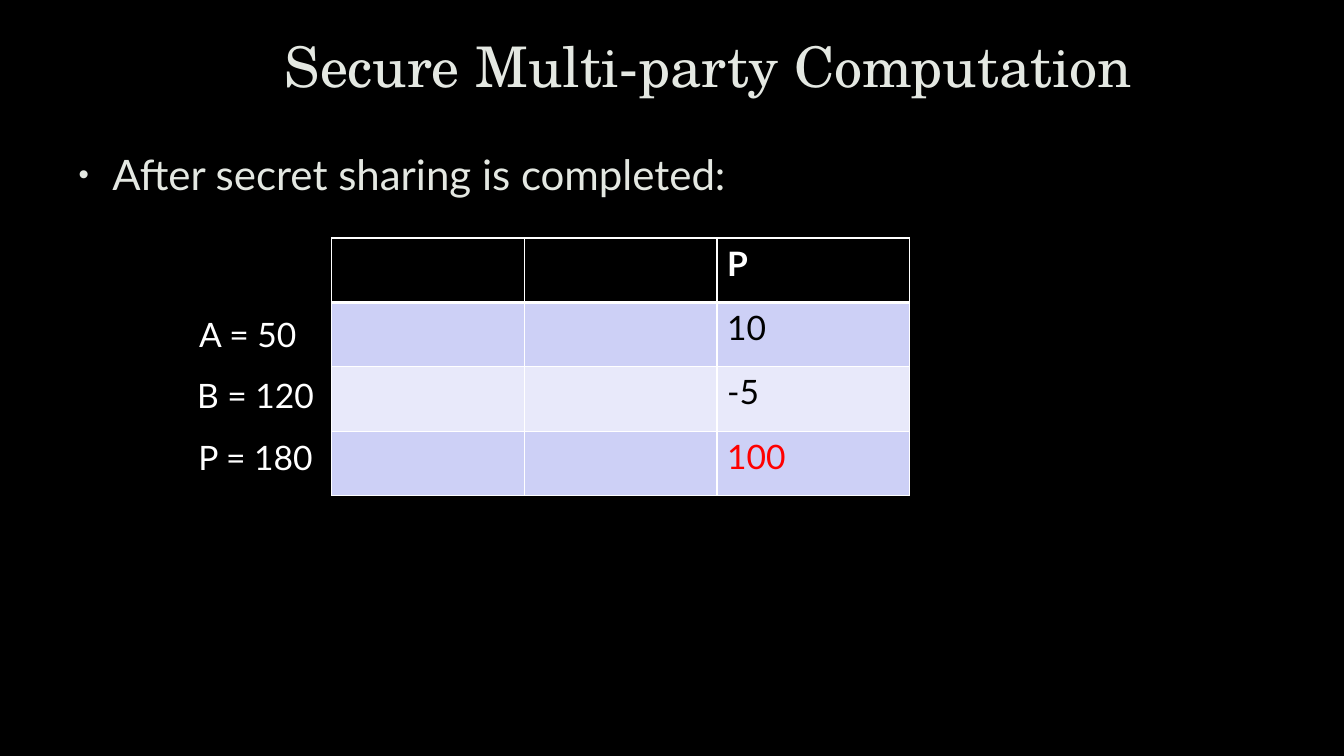
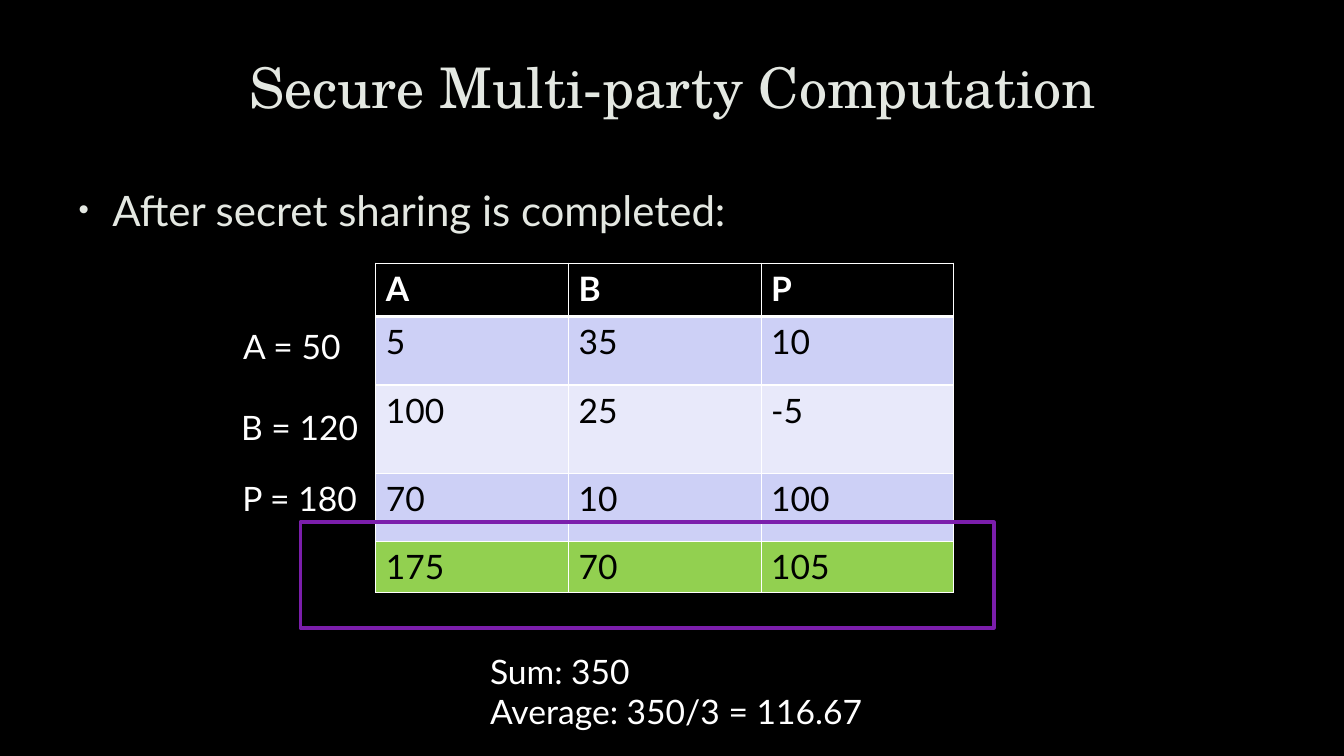
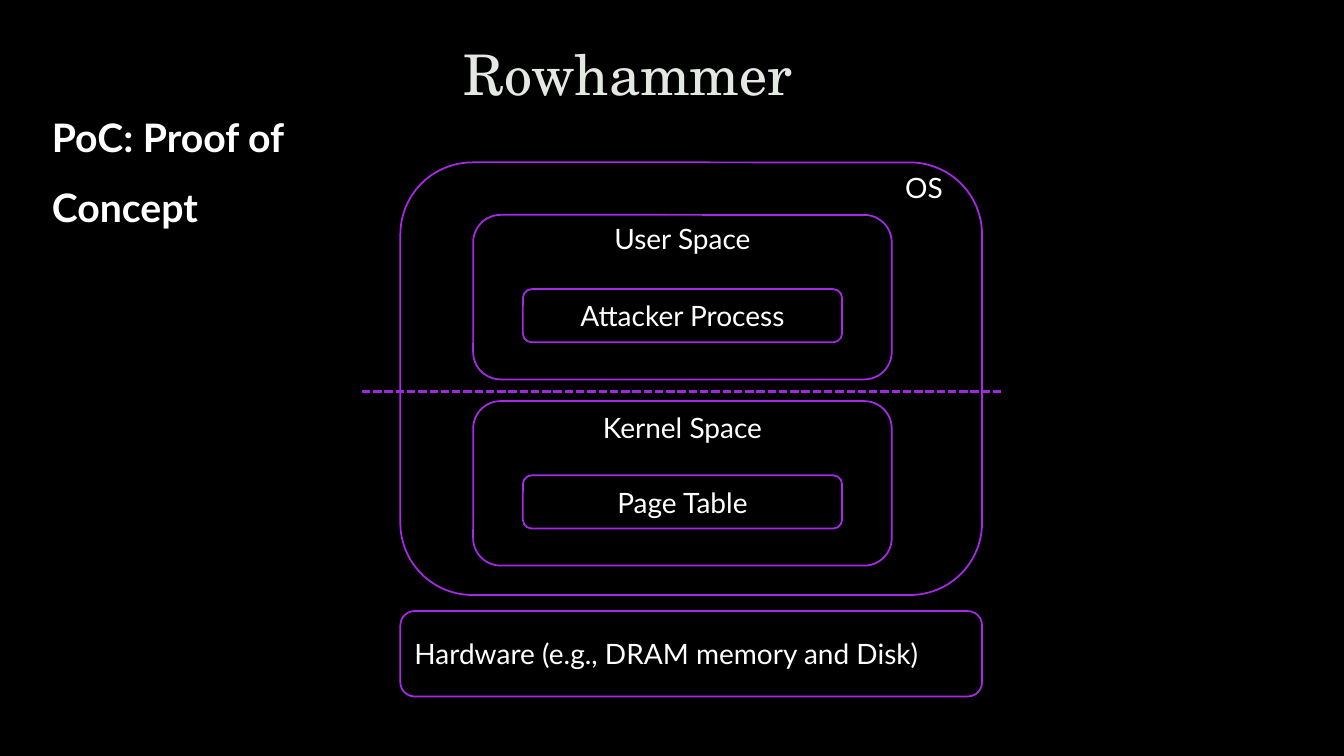
from dataclasses import dataclass

from lxml import etree
from pptx import Presentation
from pptx.dml.color import RGBColor
from pptx.enum.dml import MSO_LINE
from pptx.enum.shapes import MSO_CONNECTOR, MSO_SHAPE
from pptx.enum.text import MSO_ANCHOR, MSO_AUTO_SIZE, PP_ALIGN
from pptx.oxml.ns import qn
from pptx.util import Pt

LEFT, CENTER = PP_ALIGN.LEFT, PP_ALIGN.CENTER
TOP, MIDDLE = MSO_ANCHOR.TOP, MSO_ANCHOR.MIDDLE
NO_FIT = MSO_AUTO_SIZE.NONE
RECT, ROUND_RECT = MSO_SHAPE.RECTANGLE, MSO_SHAPE.ROUNDED_RECTANGLE
STRAIGHT = MSO_CONNECTOR.STRAIGHT
DASH = MSO_LINE.SQUARE_DOT
TITLE_AND_CONTENT, TITLE_ONLY = 1, 5


@dataclass(frozen=True)
class Theme:
    # Colours
    black: str = "000000"
    white: str = "FFFFFF"
    heading: str = "E4E8E2"
    band_dark: str = "CDD0F6"
    band_light: str = "E8E9FA"
    total: str = "92D050"
    alert: str = "FF0000"
    frame: str = "7B1EAB"
    outline: str = "A629E7"
    divider: str = "9F27DD"
    # Fonts and sizes
    title_font: str = "TeX Gyre Schola"
    font: str = "Lato"
    title_size: int = 40
    bullet_size: int = 30
    note_size: int = 28
    table_size: int = 24
    diagram_size: int = 20


T = Theme()


def rgb(value):
    return RGBColor.from_string(value)


def place(shape, box):
    shape.left, shape.top, shape.width, shape.height = map(Pt, box)


# Text
def write(tf, lines, size, color=T.white, font=T.font, bold=False,
          align=LEFT, anchor=MIDDLE, spacing=None):
    tf.word_wrap = True
    tf.vertical_anchor = anchor
    for i, line in enumerate(lines):
        p = tf.add_paragraph() if i else tf.paragraphs[0]
        p.alignment = align
        p.line_spacing = spacing
        r = p.add_run()
        r.text = line
        r.font.name, r.font.size, r.font.bold = font, Pt(size), bold
        r.font.color.rgb = rgb(color)


def add_text(s, box, lines, size, **style):
    tf = s.shapes.add_textbox(*map(Pt, box)).text_frame
    write(tf, lines, size, **style)


def set_title(s, text, box, align=CENTER):
    title = s.shapes.title
    place(title, box)
    title.text_frame.auto_size = NO_FIT
    write(title.text_frame, [text], T.title_size, T.heading, T.title_font,
          align=align, spacing=0.9)


def set_bullet(s, text, box):
    body = s.placeholders[1]
    place(body, box)
    tf = body.text_frame
    tf.auto_size = NO_FIT
    write(tf, [text], T.bullet_size, T.heading, anchor=TOP, spacing=1.1)
    p = tf.paragraphs[0]
    p.space_before, p.space_after = Pt(0), Pt(6)
    pPr = p._p.get_or_add_pPr()
    pPr.set("marL", str(Pt(27)))
    pPr.set("indent", str(-Pt(24)))
    color = etree.SubElement(pPr, qn("a:buClr"))
    etree.SubElement(color, qn("a:srgbClr"), val=T.heading)
    etree.SubElement(pPr, qn("a:buSzPct"), val="70000")
    etree.SubElement(pPr, qn("a:buFont"), typeface="Arial")
    etree.SubElement(pPr, qn("a:buChar"), char="•")


# Shapes
def add_outline(s, kind, box, color, width, text=None, align=CENTER):
    shape = s.shapes.add_shape(kind, *map(Pt, box))
    shape.shadow.inherit = False
    shape.fill.background()
    shape.line.color.rgb = rgb(color)
    shape.line.width = Pt(width)
    if text:
        write(shape.text_frame, [text], T.diagram_size, align=align)


def add_panel(s, box, text=None, align=CENTER):
    add_outline(s, ROUND_RECT, box, T.outline, 1.25, text, align)


def add_divider(s, x1, x2, y):
    line = s.shapes.add_connector(STRAIGHT, Pt(x1), Pt(y), Pt(x2), Pt(y))
    line.line.color.rgb = rgb(T.divider)
    line.line.width = Pt(2)
    line.line.dash_style = DASH
    etree.SubElement(line._element.spPr, qn("a:effectLst"))


# Table of shares
def set_borders(cell, row):
    tcPr = cell._tc.get_or_add_tcPr()
    widths = {"lnL": 1, "lnR": 1, "lnT": 3 if row == 1 else 1,
              "lnB": 3 if row == 0 else 1}
    for side, width in widths.items():
        ln = etree.SubElement(tcPr, qn(f"a:{side}"), w=str(Pt(width)))
        fill = etree.SubElement(ln, qn("a:solidFill"))
        etree.SubElement(fill, qn("a:srgbClr"), val=T.white)


def add_share_table(s, left, top, rows, heights, fills, alerts=()):
    col_width = 137.6
    n_cols = len(rows[0])
    table = s.shapes.add_table(len(rows), n_cols, Pt(left), Pt(top),
                               Pt(col_width * n_cols), Pt(sum(heights))).table
    for col in table.columns:
        col.width = Pt(col_width)
    for i, values in enumerate(rows):
        table.rows[i].height = Pt(heights[i])
        for j, value in enumerate(values):
            cell = table.cell(i, j)
            set_borders(cell, i)
            cell.fill.solid()
            cell.fill.fore_color.rgb = rgb(fills[i])
            if not value:
                continue
            color = T.white if i == 0 else T.black
            if (i, j) in alerts:
                color = T.alert
            write(cell.text_frame, [value], T.table_size, color,
                  bold=i == 0, anchor=TOP)


def add_secret_labels(s, left, top, centers):
    """Secrets beside the table; left and top are the table's corner."""
    width, height = 172, 32
    secrets = ("A = 50", "B = 120", "P = 180")
    for text, dx, y in zip(secrets, (-60, -54.5, -54.5), centers):
        box = (left + dx - width / 2, top + y - height / 2, width, height)
        add_text(s, box, [text], T.table_size, align=CENTER)


# Slides
def add_sharing_slide(prs, title_at, bullet_top, table_at, label_centers,
                      **table):
    s = prs.slides.add_slide(prs.slide_layouts[TITLE_AND_CONTENT])
    set_title(s, "Secure Multi-party Computation", (*title_at, 815, 99))
    set_bullet(s, "After secret sharing is completed:",
               (46, bullet_top, 794, 77))
    add_secret_labels(s, *table_at, label_centers)
    add_share_table(s, *table_at, **table)
    return s


def add_zone(s, box, name, part, name_dy):
    x, y, w, h = box
    part_w, part_h = 228, 38
    add_panel(s, box)
    add_text(s, (x, y + name_dy, w, part_h), [name], T.diagram_size,
             align=CENTER)
    add_panel(s, (x + (w - part_w) / 2, y + 53, part_w, part_h), part)


def add_system_diagram(s, box):
    x, y, w, h = box
    os_h, hardware_h = 309, 61
    # Operating system with its two zones
    add_panel(s, (x, y, w, os_h))
    add_text(s, (x + w - 88.5, y - 1, 94, 38), ["OS"], T.diagram_size,
             align=CENTER)
    zones = (("User Space", "Attacker Process", -2),
             ("Kernel Space", "Page Table", 0))
    for i, (name, part, name_dy) in enumerate(zones):
        zone = (x + 52, y + 37.5 + 133 * i, 299, 117.5)
        add_zone(s, zone, name, part, name_dy)
    add_divider(s, x - 27.5, x + w + 13.5, y + 163.5)
    # Hardware below
    add_panel(s, (x, y + h - hardware_h, w, hardware_h),
              "Hardware (e.g., DRAM memory and Disk)", LEFT)


def add_rowhammer_slide(prs):
    s = prs.slides.add_slide(prs.slide_layouts[TITLE_ONLY])
    set_title(s, "Rowhammer", (324, 19, 377, 72), LEFT)
    add_text(s, (30, 60.5, 269, 53), ["PoC: Proof of Concept"], T.note_size,
             bold=True, anchor=TOP, spacing=1.5)
    add_system_diagram(s, (286, 116, 415.5, 381.5))


def main():
    prs = Presentation()
    prs.slide_width, prs.slide_height = Pt(960), Pt(540)
    background = prs.slide_master.background.fill
    background.solid()
    background.fore_color.rgb = rgb(T.black)

    bands = [T.black, T.band_dark, T.band_light, T.band_dark]

    # Shares held by P
    add_sharing_slide(
        prs, (98.5, 0), 99, (237, 170), (68.5, 112.5, 156.5),
        rows=[("", "", "P"), ("", "", "10"), ("", "", "-5"), ("", "", "100")],
        heights=[46] * 4, fills=bands, alerts={(3, 2)})

    # All shares with their totals
    s = add_sharing_slide(
        prs, (73, 15), 124.5, (268.5, 188), (59, 117, 168),
        rows=[("A", "B", "P"), ("5", "35", "10"), ("100", "25", "-5"),
              ("70", "10", "100"), ("175", "70", "105")],
        heights=[38, 49, 63, 49, 36], fills=bands + [T.total])
    add_outline(s, RECT, (214.5, 373, 495.5, 75.5), T.frame, 2.5)
    add_text(s, (343, 468, 338, 51),
             ["Sum: 350", "Average: 350/3 = 116.67"], T.table_size)

    add_rowhammer_slide(prs)
    prs.save("out.pptx")


if __name__ == "__main__":
    main()
